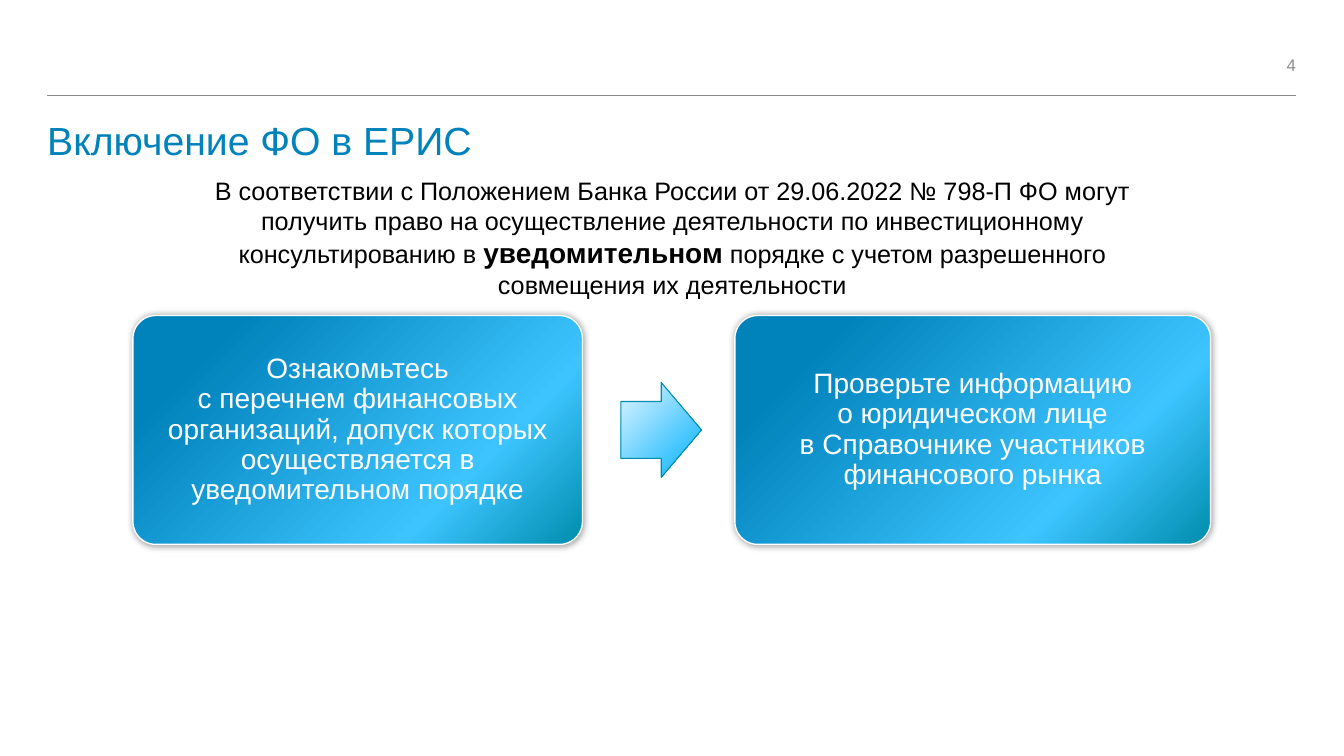
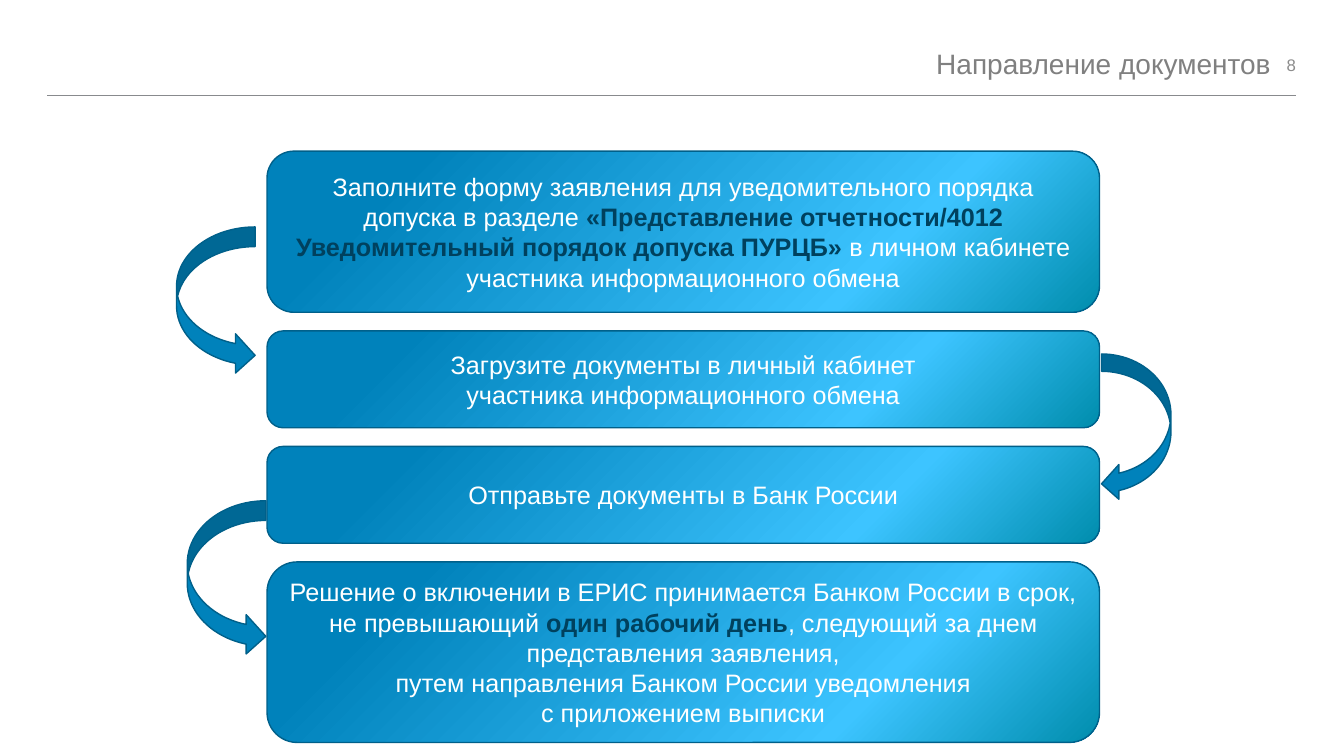
import pptx
import pptx.util
import pptx.dml.color
import pptx.enum.shapes
import pptx.enum.text
import pptx.oxml.ns
from dataclasses import dataclass
from lxml import etree

Cm, Pt = pptx.util.Cm, pptx.util.Pt
SHAPE = pptx.enum.shapes.MSO_SHAPE
ALIGN = pptx.enum.text.PP_ALIGN
ANCHOR = pptx.enum.text.MSO_ANCHOR
qn = pptx.oxml.ns.qn


@dataclass(frozen=True)
class Theme:
    font: str = "Arial"
    blue: str = "0082BB"
    dark_blue: str = "00608A"
    teal: str = "008DAD"
    white: str = "FFFFFF"
    black: str = "000000"
    emphasis: str = "00415E"
    rule: str = "888A8D"
    page_grey: str = "8C8C8C"
    heading_grey: str = "808080"
    box_gradient: tuple = ((16, "0082BB"), (73, "3DC4FF"), (100, "008DAD"))
    arrow_gradient: tuple = ((16, "BEEBFF"), (73, "3DC4FF"), (100, "008DAD"))
    title_size: int = 28
    large_size: int = 20
    body_size: int = 18
    page_size: int = 12


THEME = Theme()

# Each string is a paragraph; words between asterisks are emphasised.
INCLUSION = {
    "page": "4",
    "title": "Включение ФО в ЕРИС",
    "intro": [
        "В соответствии с Положением Банка России от 29.06.2022 № 798-П ФО могут "
        "получить право на осуществление деятельности по инвестиционному "
        "консультированию в *уведомительном* порядке с учетом разрешенного "
        "совмещения их деятельности"
    ],
    "cards": [  # left, width, text
        (3.35, 11.33, [
            "Ознакомьтесь",
            "с перечнем финансовых организаций, допуск которых "
            "осуществляется в уведомительном порядке",
        ]),
        (18.52, 11.99, [
            "Проверьте информацию",
            "о юридическом лице",
            "в Справочнике участников финансового рынка",
        ]),
    ],
}

SUBMISSION = {
    "page": "8",
    "heading": "Направление документов",
    "steps": [  # height, text
        (4.06, [
            "Заполните форму заявления для уведомительного порядка допуска в разделе "
            "*«Представление отчетности/4012 Уведомительный порядок допуска ПУРЦБ»* "
            "в личном кабинете участника информационного обмена"
        ]),
        (2.44, ["Загрузите документы в личный кабинет",
                "участника информационного обмена"]),
        (2.44, ["Отправьте документы в Банк России"]),
        (4.55, [
            "Решение о включении в ЕРИС принимается Банком России в срок, "
            "не превышающий *один рабочий день*, следующий за днем "
            "представления заявления,",
            "путем направления Банком России уведомления",
            "с приложением выписки",
        ]),
    ],
    "turns": [  # shape, box
        (SHAPE.CURVED_RIGHT_ARROW, (4.45, 5.72, 1.98, 3.73)),
        (SHAPE.CURVED_LEFT_ARROW, (27.76, 8.92, 1.75, 3.71)),
        (SHAPE.CURVED_RIGHT_ARROW, (4.72, 12.62, 1.98, 3.91)),
    ],
}

MARGIN, CONTENT_WIDTH = 1.19, 31.47
RULE_TOP = 2.41
CARD_TOP, CARD_HEIGHT = 7.95, 5.77
ARROW_LEFT, ARROW_WIDTH, ARROW_HEIGHT = 15.65, 2.03, 2.39
STEP_LEFT, STEP_TOP, STEP_WIDTH, STEP_GAP = 6.73, 3.81, 20.98, 0.47


def rgb(value):
    return pptx.dml.color.RGBColor.from_string(value)


def write(frame, paragraphs, size, color, align=ALIGN.CENTER, spacing=None,
          strong_size=None, strong_color=None):
    """Fill a text frame, styling the words between asterisks as strong."""
    frame.word_wrap = True
    for index, text in enumerate(paragraphs):
        paragraph = frame.paragraphs[0] if index == 0 else frame.add_paragraph()
        paragraph.alignment = align
        if spacing:
            paragraph.line_spacing = spacing
        paragraph.font.name = THEME.font
        paragraph.font.size = Pt(size)
        paragraph.font.color.rgb = rgb(color)
        for part, words in enumerate(text.split("*")):
            run = paragraph.add_run()
            run.text = words
            if part % 2:
                run.font.bold = True
                if strong_size:
                    run.font.size = Pt(strong_size)
                if strong_color:
                    run.font.color.rgb = rgb(strong_color)


def set_margins(frame, horizontal, vertical):
    frame.margin_left = frame.margin_right = Cm(horizontal)
    frame.margin_top = frame.margin_bottom = Cm(vertical)


def add_label(slide, box, text, size, color, align=ALIGN.LEFT, spacing=None,
              anchor=ANCHOR.TOP):
    """Add one line of text without inner margins."""
    frame = slide.shapes.add_textbox(*map(Cm, box)).text_frame
    set_margins(frame, 0, 0)
    frame.vertical_anchor = anchor
    write(frame, [text], size, color, align, spacing)


def add_figure(slide, kind, box, line_color, line_width, fill=None, gradient=None):
    figure = slide.shapes.add_shape(kind, *map(Cm, box))
    figure.shadow.inherit = False
    figure.line.color.rgb = rgb(line_color)
    figure.line.width = Pt(line_width)
    if gradient:
        set_gradient(figure, gradient)
    else:
        figure.fill.solid()
        figure.fill.fore_color.rgb = rgb(fill)
    return figure


def set_gradient(figure, stops):
    figure.fill.gradient()
    figure.fill.gradient_angle = 315
    stop_list = figure.element.spPr.find(qn("a:gradFill")).find(qn("a:gsLst"))
    for old_stop in list(stop_list):
        stop_list.remove(old_stop)
    for position, color in stops:
        stop = etree.SubElement(stop_list, qn("a:gs"), pos=str(position * 1000))
        etree.SubElement(stop, qn("a:srgbClr"), val=color)


def add_glow_shadow(figure):
    """Put a soft shadow evenly around the figure."""
    effects = figure.element.spPr.find(qn("a:effectLst"))
    shadow = etree.SubElement(effects, qn("a:outerShdw"), blurRad=str(int(Pt(5))),
                              dist="0", dir="0", algn="ctr", rotWithShape="0")
    color = etree.SubElement(shadow, qn("a:srgbClr"), val=THEME.black)
    etree.SubElement(color, qn("a:alpha"), val="40000")


def add_page(deck, number):
    """Add a blank slide with the header rule and the page number."""
    slide = deck.slides.add_slide(deck.slide_layouts[6])
    rule = slide.shapes.add_connector(
        pptx.enum.shapes.MSO_CONNECTOR.STRAIGHT, Cm(MARGIN), Cm(RULE_TOP),
        Cm(MARGIN + CONTENT_WIDTH), Cm(RULE_TOP))
    rule.line.color.rgb = rgb(THEME.rule)
    rule.line.width = Pt(0.5)
    etree.SubElement(rule.element.spPr, qn("a:effectLst"))
    add_label(slide, (30.61, 1.19, 2.05, 0.89), number, THEME.page_size,
              THEME.page_grey, ALIGN.RIGHT, anchor=ANCHOR.MIDDLE)
    return slide


def build_inclusion(deck, content):
    slide = add_page(deck, content["page"])
    add_label(slide, (MARGIN, 3.07, CONTENT_WIDTH, 1.68), content["title"],
              THEME.title_size, THEME.blue, spacing=0.9)
    intro = slide.shapes.add_textbox(Cm(4.93), Cm(4.29), Cm(24.03), Cm(3.43))
    write(intro.text_frame, content["intro"], THEME.body_size, THEME.black,
          strong_size=THEME.large_size)

    for left, width, text in content["cards"]:
        card = add_figure(slide, SHAPE.ROUNDED_RECTANGLE,
                          (left, CARD_TOP, width, CARD_HEIGHT),
                          THEME.white, 1, gradient=THEME.box_gradient)
        card.adjustments[0] = 0.1
        add_glow_shadow(card)
        set_margins(card.text_frame, 0.2, 0.2)
        write(card.text_frame, text, THEME.large_size, THEME.white, spacing=0.9)

    arrow_top = CARD_TOP + (CARD_HEIGHT - ARROW_HEIGHT) / 2
    arrow = add_figure(slide, SHAPE.RIGHT_ARROW,
                       (ARROW_LEFT, arrow_top, ARROW_WIDTH, ARROW_HEIGHT),
                       THEME.teal, 0.75, gradient=THEME.arrow_gradient)
    arrow.adjustments[0] = 0.6


def build_submission(deck, content):
    slide = add_page(deck, content["page"])
    add_label(slide, (0.56, 1.09, CONTENT_WIDTH, 1.68), content["heading"],
              THEME.large_size, THEME.heading_grey, ALIGN.RIGHT, spacing=1.1)

    top = STEP_TOP
    for height, text in content["steps"]:
        step = add_figure(slide, SHAPE.ROUNDED_RECTANGLE,
                          (STEP_LEFT, top, STEP_WIDTH, height),
                          THEME.dark_blue, 1, gradient=THEME.box_gradient)
        write(step.text_frame, text, THEME.body_size, THEME.white,
              strong_color=THEME.emphasis)
        top += height + STEP_GAP

    for kind, box in content["turns"]:
        add_figure(slide, kind, box, THEME.dark_blue, 1, fill=THEME.blue)


def main():
    deck = pptx.Presentation()
    deck.slide_width, deck.slide_height = Cm(33.87), Cm(19.05)
    build_inclusion(deck, INCLUSION)
    build_submission(deck, SUBMISSION)
    deck.save("out.pptx")


if __name__ == "__main__":
    main()
